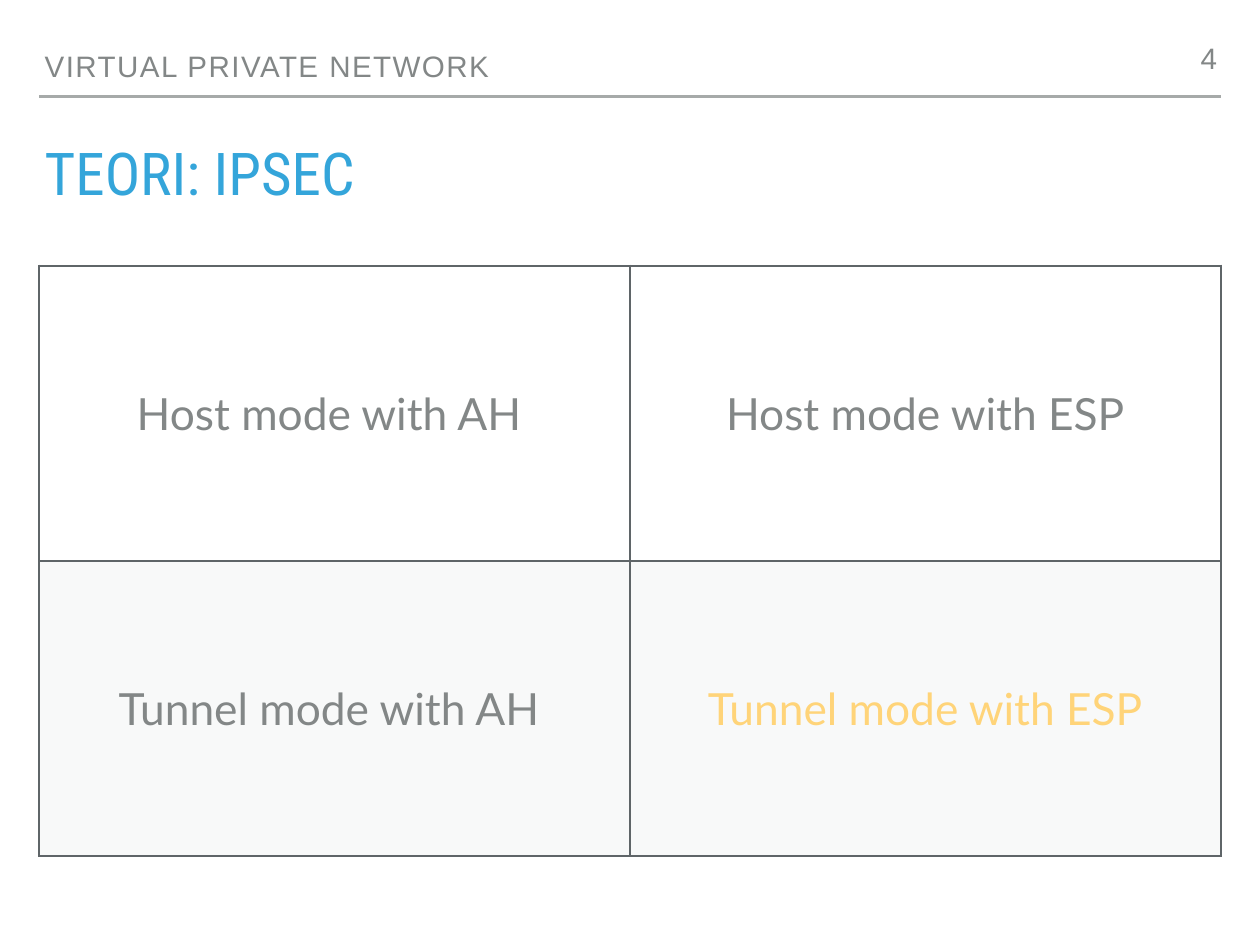
import dataclasses
import itertools
import typing

import lxml.etree
import pptx
import pptx.dml.color
import pptx.enum.shapes
import pptx.enum.text
import pptx.oxml
import pptx.oxml.ns
import pptx.slide
import pptx.text.text
import pptx.util

COLOURS = {
    "paper": "FFFFFF",
    "text": "838787",
    "title": "34A5DA",
    "rule": "A6AAA9",
    "border": "5F6568",
    "shade": "DCDEE0",
    "accent": "FFD479",
}
WIDTH, HEIGHT = pptx.util.Inches(14.22), pptx.util.Inches(10.67)
COLUMNS, ROWS = 32, 24
SHADE_ALPHA = 18
INSET = pptx.util.Inches(0.06)
ANCHOR = pptx.enum.text.MSO_ANCHOR
ALIGN = pptx.enum.text.PP_ALIGN
FIT = pptx.enum.text.MSO_AUTO_SIZE


@dataclasses.dataclass(frozen=True)
class Style:
    font: str
    size: float
    colour: str = "text"
    align: ALIGN = ALIGN.LEFT
    line_spacing: float = 1.0
    space_before: float = 0
    tracking: float = 0


@dataclasses.dataclass(frozen=True)
class Label:
    """Text in a box given in grid columns and rows."""
    text: str
    col: float
    row: float
    cols: float
    rows: float
    style: Style
    anchor: ANCHOR = ANCHOR.TOP
    wrap: bool = True
    fit: FIT = FIT.SHAPE_TO_FIT_TEXT


@dataclasses.dataclass(frozen=True)
class Mode:
    text: str
    colour: str = "text"
    shaded: bool = False


HEADER = Style("Arial", 24, line_spacing=0.8, tracking=1.2)
NUMBER = Style("Arial", 24, align=ALIGN.RIGHT, line_spacing=0.8)
TITLE = Style("Roboto Condensed", 48, "title", line_spacing=0.8, space_before=22)
CELL = Style("Lato", 36, align=ALIGN.CENTER, space_before=24)

LABELS = [
    Label("VIRTUAL PRIVATE NETWORK", 1, 1.13, 27.5, 1.13, HEADER, ANCHOR.BOTTOM),
    Label("TEORI: IPSEC", 1, 3.69, 30, 1.78, TITLE, fit=FIT.NONE),
    Label("4", 30.36, 1.06, 0.64, 1.13, NUMBER, wrap=False),
]
MODES = [
    [Mode("Host mode with AH "), Mode("Host mode with ESP")],
    [Mode("Tunnel mode with AH ", shaded=True),
     Mode("Tunnel mode with ESP", "accent", shaded=True)],
]


def x(cols: float) -> int:
    return round(WIDTH * cols / COLUMNS)


def y(rows: float) -> int:
    return round(HEIGHT * rows / ROWS)


def rgb(name: str) -> pptx.dml.color.RGBColor:
    return pptx.dml.color.RGBColor.from_string(COLOURS[name])


def format_paragraph(p: typing.Any, style: Style) -> None:
    p.alignment = style.align
    p.line_spacing = style.line_spacing
    p.space_before = pptx.util.Pt(style.space_before)
    for r in p.runs:
        r.font.name = style.font
        r.font.size = pptx.util.Pt(style.size)
        r.font.color.rgb = rgb(style.colour)
        if style.tracking:
            r.font._element.set("spc", str(round(style.tracking * 100)))


def set_insets(box: typing.Any) -> None:
    box.margin_left = box.margin_right = INSET
    box.margin_top = box.margin_bottom = INSET


def add_label(s: pptx.slide.Slide, label: Label) -> None:
    sp = s.shapes.add_textbox(x(label.col), y(label.row), x(label.cols), y(label.rows))
    tf = sp.text_frame
    tf.text = label.text
    tf.word_wrap = label.wrap
    tf.auto_size = label.fit
    tf.vertical_anchor = label.anchor
    set_insets(tf)
    format_paragraph(tf.paragraphs[0], label.style)


def add_rule(s: pptx.slide.Slide, col: float, row: float, cols: float) -> None:
    line = s.shapes.add_connector(
        pptx.enum.shapes.MSO_CONNECTOR.STRAIGHT, x(col), y(row), x(col + cols), y(row))
    line.line.color.rgb = rgb("rule")
    line.line.width = pptx.util.Pt(2)
    lxml.etree.SubElement(line._element.spPr, pptx.oxml.ns.qn("a:effectLst"))


def add_borders(cell: typing.Any) -> None:
    """Insert the four side lines ahead of the cell's fill, as the schema asks."""
    tc_pr = cell._tc.get_or_add_tcPr()
    for i, side in enumerate(("lnL", "lnR", "lnT", "lnB")):
        tc_pr.insert(i, pptx.oxml.parse_xml(
            f'<a:{side} {pptx.oxml.ns.nsdecls("a")} w="{pptx.util.Pt(2)}"><a:solidFill>'
            f'<a:srgbClr val="{COLOURS["border"]}"/></a:solidFill></a:{side}>'))


def fill_cell(cell: typing.Any, mode: Mode) -> None:
    cell.text_frame.text = mode.text
    cell.vertical_anchor = ANCHOR.MIDDLE
    set_insets(cell)
    format_paragraph(cell.text_frame.paragraphs[0],
                     dataclasses.replace(CELL, colour=mode.colour))
    if mode.shaded:
        cell.fill.solid()
        cell.fill.fore_color.rgb = rgb("shade")
        clr = cell._tc.tcPr.find(".//" + pptx.oxml.ns.qn("a:srgbClr"))
        alpha = lxml.etree.SubElement(clr, pptx.oxml.ns.qn("a:alpha"))
        alpha.set("val", str(SHADE_ALPHA * 1000))
    else:
        cell.fill.background()
    add_borders(cell)


def add_modes(s: pptx.slide.Slide, col: float, row: float, cols: float, rows: float) -> None:
    n_rows, n_cols = len(MODES), len(MODES[0])
    table = s.shapes.add_table(n_rows, n_cols, x(col), y(row), x(cols), y(rows)).table
    table.first_row = table.horz_banding = False
    for column in table.columns:
        column.width = x(cols / n_cols)
    for table_row in table.rows:
        table_row.height = y(rows / n_rows)
    for cell, mode in zip(table.iter_cells(), itertools.chain.from_iterable(MODES)):
        fill_cell(cell, mode)


def main() -> None:
    prs = pptx.Presentation()
    prs.slide_width, prs.slide_height = WIDTH, HEIGHT
    s = prs.slides.add_slide(prs.slide_layouts[6])
    s.background.fill.solid()
    s.background.fill.fore_color.rgb = rgb("paper")
    add_rule(s, 1, 2.45, 30)
    for label in LABELS:
        add_label(s, label)
    add_modes(s, 1, 6.75, 30, 15)
    prs.save("out.pptx")


if __name__ == "__main__":
    main()
